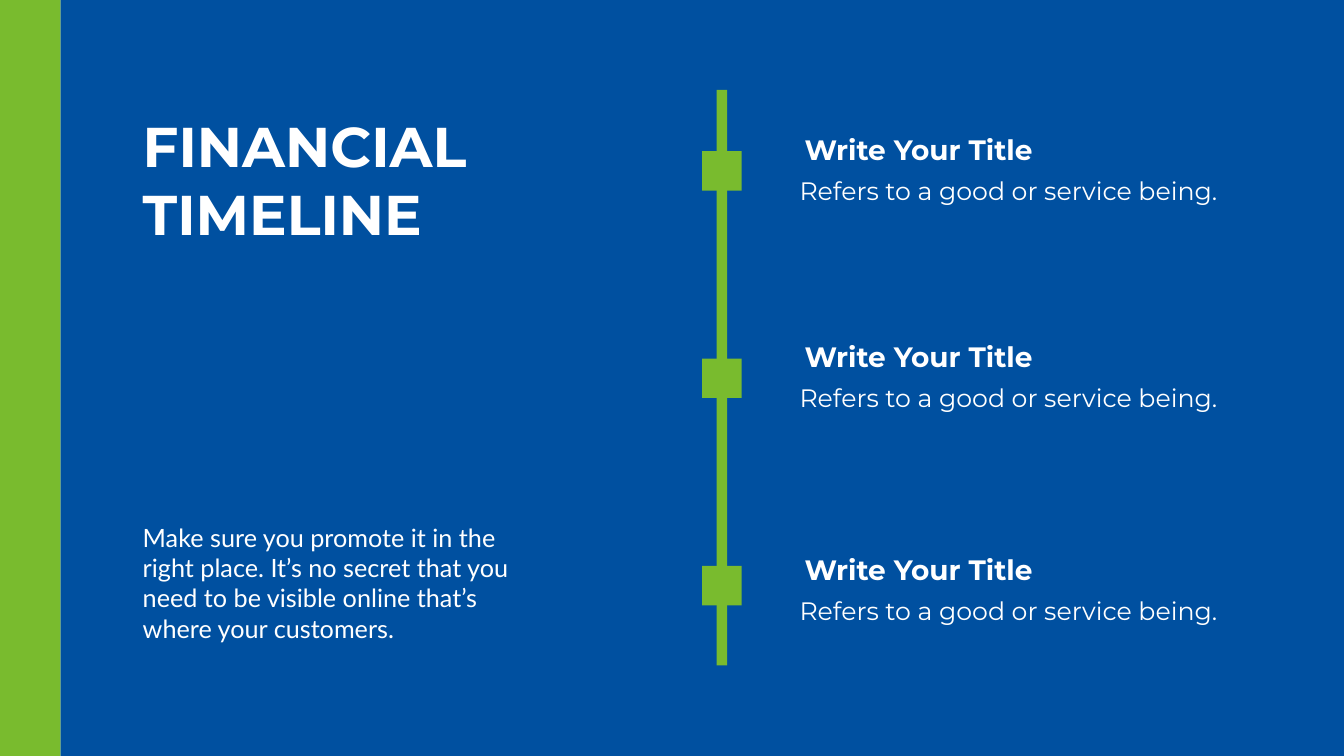
from pptx import Presentation
from pptx.dml.color import RGBColor
from pptx.enum.shapes import MSO_SHAPE as Shape
from pptx.enum.text import MSO_ANCHOR as Anchor, MSO_AUTO_SIZE as AutoSize, PP_ALIGN as Align
from pptx.util import Inches, Pt

COLORS = {"panel": "0050A0", "accent": "79BB2E", "text": "FFFFFF"}
WIDTH, HEIGHT = Inches(26.66), Inches(15)
COLUMN, ROW = WIDTH / 100, HEIGHT / 100

ITEMS = [
    (17.2, "Write Your Title", "Refers to a good or service being."),
    (44.6, "Write Your Title", "Refers to a good or service being."),
    (72.8, "Write Your Title", "Refers to a good or service being."),
]


def grid(box):
    left, top, width, height = box
    return [round(n) for n in (left * COLUMN, top * ROW, width * COLUMN, height * ROW)]


def add_block(slide, box, color):
    block = slide.shapes.add_shape(Shape.RECTANGLE, *grid(box))
    block.shadow.inherit = False
    block.fill.solid()
    block.fill.fore_color.rgb = RGBColor.from_string(COLORS[color])
    block.line.fill.background()
    return block


def add_text(slide, box, text, size, font="Montserrat", bold=False, inset=(0.38, 0.33), holder=None):
    holder = holder or slide.shapes.add_textbox(0, 0, 0, 0)
    holder.left, holder.top, holder.width, holder.height = grid(box)
    frame = holder.text_frame
    frame.text = text
    frame.word_wrap = True
    frame.auto_size = AutoSize.SHAPE_TO_FIT_TEXT
    frame.vertical_anchor = Anchor.TOP
    frame.margin_left = frame.margin_right = round(inset[0] * COLUMN)
    frame.margin_top = frame.margin_bottom = round(inset[1] * ROW)
    paragraph = frame.paragraphs[0]
    paragraph.alignment = Align.LEFT
    style = paragraph.runs[0].font
    style.name, style.size, style.bold = font, Pt(size), bold
    style.color.rgb = RGBColor.from_string(COLORS["text"])


def add_backdrop(slide, box, stripe_width):
    left, top, width, height = box
    panel = add_block(slide, (left + stripe_width, top, width - stripe_width, height), "panel")
    stripe = add_block(slide, (left, top, stripe_width, height), "accent")
    for block in (panel, stripe):
        slide.shapes.title.element.addprevious(block.element)


def add_intro(slide, box):
    left, top, width, height = box
    add_text(slide, (left, top, width, 18.6), "FINANCIAL TIMELINE", 80,
             bold=True, holder=slide.shapes.title)
    add_text(slide, (left, top + height - 16.8, width - 2.14, 16.8),
             "Make sure you promote it in the right place. It’s no secret that you need "
             "to be visible online that’s where your customers.", 36, font="Lato")


def add_timeline(slide, box, marker_count):
    left, top, width, height = box
    spine_width = 0.79
    marker_height = width * COLUMN / ROW
    first_marker, pitch = top + 8.1, 27.43
    add_block(slide, (left + (width - spine_width) / 2, top, spine_width, height), "accent")
    for index in range(marker_count):
        add_block(slide, (left, first_marker + index * pitch, width, marker_height), "accent")


def add_item(slide, box, heading, detail):
    left, top, width, height = box
    detail_height = 5.67
    add_text(slide, (left, top + height - detail_height, width, detail_height),
             detail, 36, inset=(0.9, 0.8))
    add_text(slide, (left + 0.9, top, 21.27, 5.13), heading, 40, bold=True)


def main():
    deck = Presentation()
    deck.slide_width, deck.slide_height = WIDTH, HEIGHT
    slide = deck.slides.add_slide(deck.slide_layouts.get_by_name("Title Only"))
    add_backdrop(slide, (0, 0, 100, 100), 4.5)
    add_intro(slide, (10.24, 14.47, 31.88, 71.06))
    add_timeline(slide, (52.25, 11.9, 2.93, 76.13), len(ITEMS))
    for top, heading, detail in ITEMS:
        add_item(slide, (58.59, top, 34.58, 10.87), heading, detail)
    deck.save("out.pptx")


if __name__ == "__main__":
    main()
